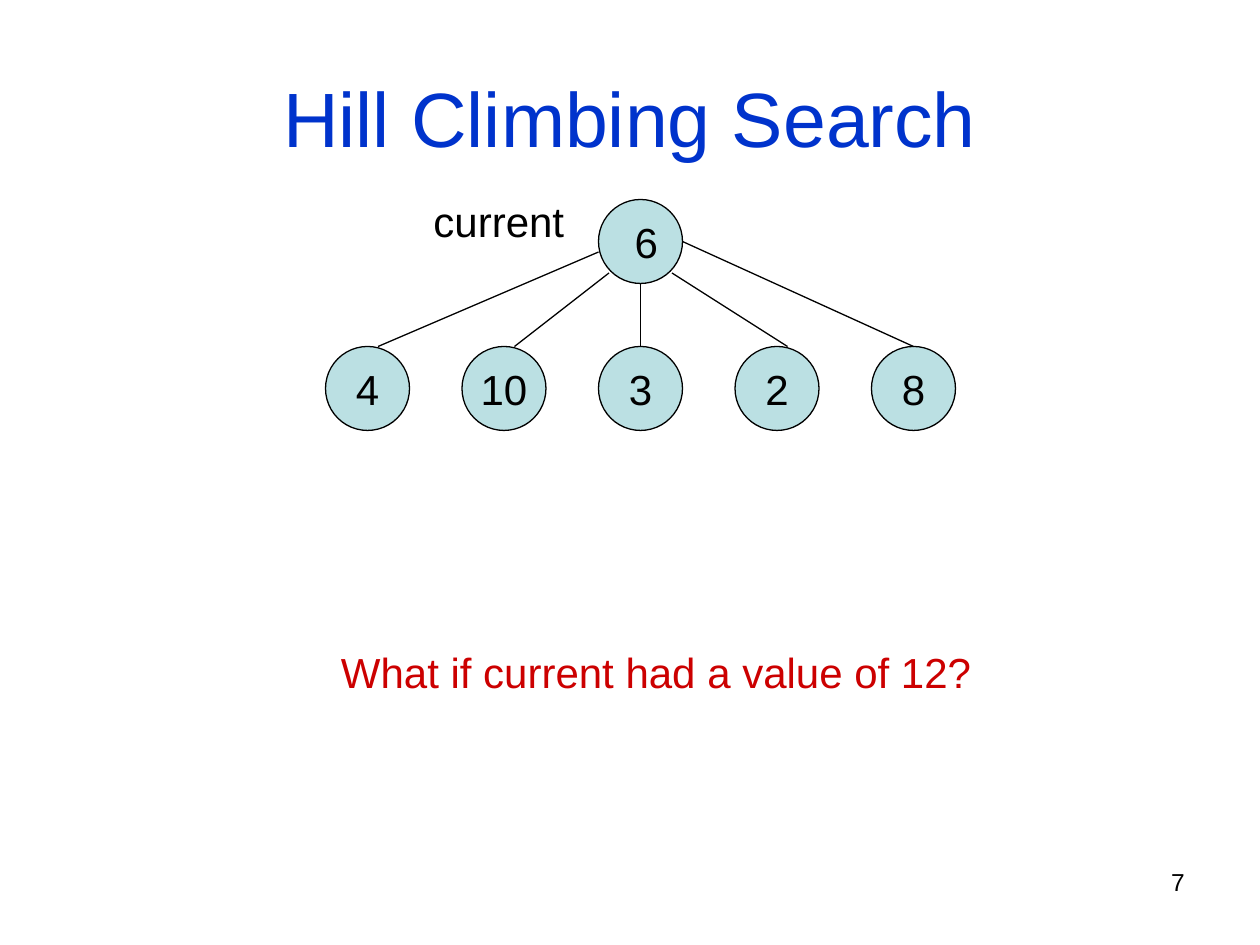
from lxml.etree import SubElement
from pptx import Presentation
from pptx.dml.color import RGBColor
from pptx.enum.shapes import MSO_CONNECTOR as Link, MSO_SHAPE as Form
from pptx.enum.text import MSO_ANCHOR as Anchor, PP_ALIGN as Align
from pptx.oxml.ns import qn
from pptx.util import Inches, Pt

UNIT = Inches(1) // 12  # the slide is 120 columns by 90 rows
BLACK, BLUE, RED, AQUA = "000000", "0033CC", "CC0000", "BBE0E3"
NODE, STEP, DROP = 8, 13, 14  # node size, column step, row step
VALUES = ["4", "10", "3", "2", "8"]
# Where each branch leaves the root and meets its child,
# relative to the top left corner of that node
BRANCHES = [((0, 5), (5, 0)), ((1, 7), (5, 0)), ((4, 8), (4, 0)),
            ((7, 7), (5, 0)), ((8, 4), (4, 0))]


def grid(*cells):
    return [round(cell * UNIT) for cell in cells]


def color(code):
    return RGBColor.from_string(code)


def write(shape, text, size=24, ink=BLACK, align=Align.LEFT,
          anchor=Anchor.TOP, wrap=True):
    frame = shape.text_frame
    frame.word_wrap = wrap
    frame.vertical_anchor = anchor
    para = frame.paragraphs[0]
    para.alignment = align
    run = para.add_run()
    run.text = text
    run.font.name = "Arial"
    run.font.size = Pt(size)
    run.font.color.rgb = color(ink)


def label(slide, box, text, **style):
    write(slide.shapes.add_textbox(*grid(*box)), text, **style)


def node(slide, x, y, text):
    oval = slide.shapes.add_shape(Form.OVAL, *grid(x, y, NODE, NODE))
    oval.shadow.inherit = False
    oval.fill.solid()
    oval.fill.fore_color.rgb = color(AQUA)
    oval.line.color.rgb = color(BLACK)
    oval.line.width = Pt(0.75)
    write(oval, text, align=Align.CENTER, anchor=Anchor.MIDDLE, wrap=False)


def branch(slide, start, end):
    line = slide.shapes.add_connector(Link.STRAIGHT, *grid(*start, *end))
    line.line.color.rgb = color(BLACK)
    line.line.width = Pt(0.75)
    SubElement(line._element.spPr, qn("a:effectLst"))


def tree(slide, left, top):
    mid = left + STEP * (len(VALUES) // 2)
    row = top + DROP
    node(slide, mid, top, " 6")
    for i, (value, (out, into)) in enumerate(zip(VALUES, BRANCHES)):
        x = left + i * STEP
        node(slide, x, row, value)
        branch(slide, (mid + out[0], top + out[1]),
               (x + into[0], row + into[1]))
    label(slide, (left + 9.1, top - 1, 14.9, 6), "current", wrap=False)


def main():
    deck = Presentation()
    deck.slide_width, deck.slide_height = grid(120, 90)
    slide = deck.slides.add_slide(deck.slide_layouts[6])
    label(slide, (6, 3.6, 108, 15), "Hill Climbing Search", size=44,
          ink=BLUE, align=Align.CENTER, anchor=Anchor.MIDDLE)
    tree(slide, 31, 19)
    label(slide, (31.3, 61, 62.4, 6), "What if current had a value of 12?",
          ink=RED, wrap=False)
    label(slide, (86, 82, 28, 6.25), "7", size=14, align=Align.RIGHT)
    deck.save("out.pptx")


if __name__ == "__main__":
    main()
